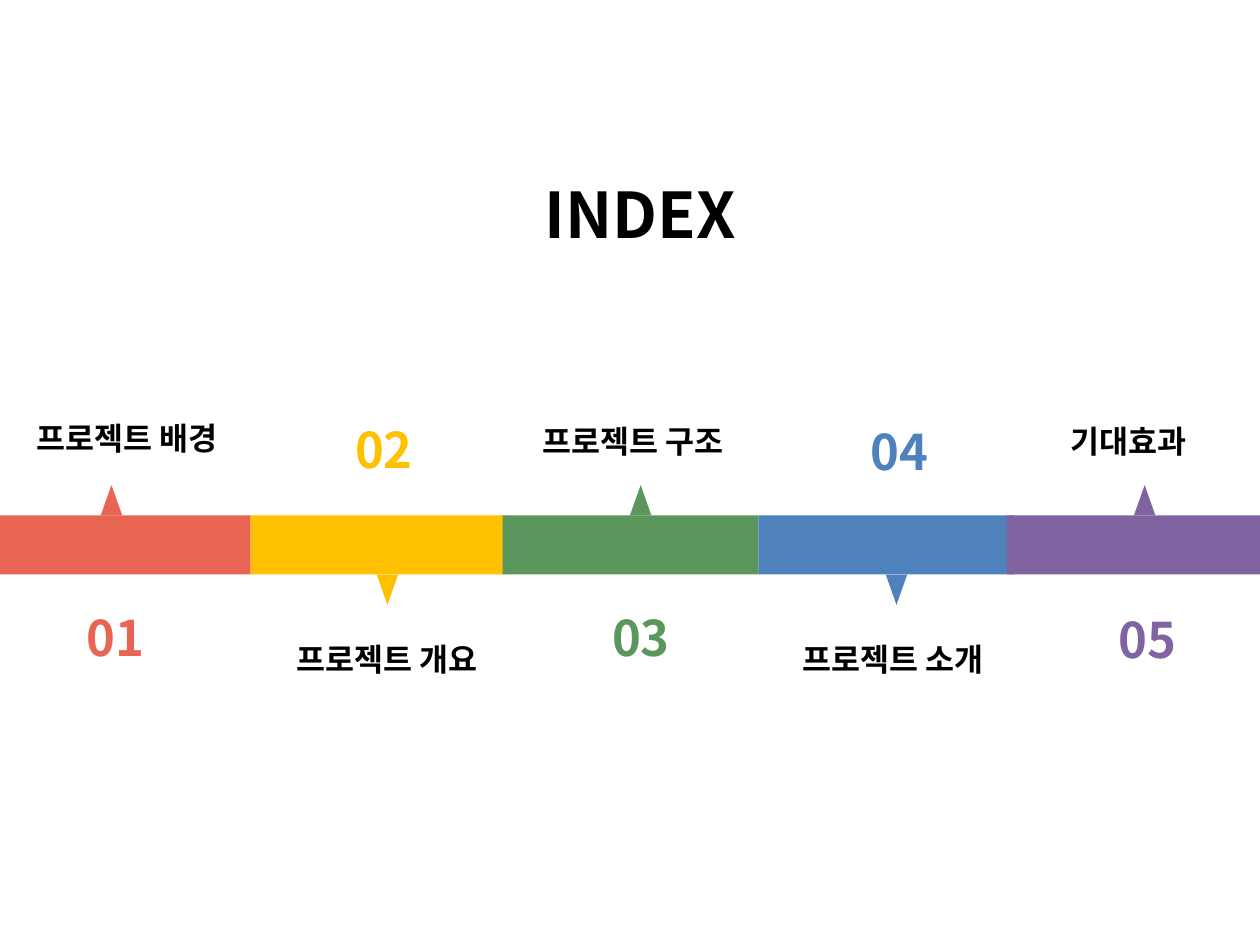
from pptx import Presentation, util as u
from pptx.dml.color import RGBColor
from pptx.enum import shapes, text

COLORS = {"ink": "000000", "red": "E86554", "yellow": "FFC000",
          "green": "5B965D", "blue": "4F81BD", "purple": "8064A2"}
FONT = "Noto Sans CJK KR"

presentation = Presentation()
presentation.slide_width, presentation.slide_height = u.Inches(10), u.Inches(7.5)
slide = presentation.slides.add_slide(presentation.slide_layouts[5])

# Grid of 100 columns by 75 rows
COLUMN = presentation.slide_width / 100
ROW = presentation.slide_height / 75


def write(shape, box, words, size, color, align):
    left, top, width, height = box
    frame = shape.text_frame
    frame.text = words
    frame_format = {"word_wrap": True, "vertical_anchor": text.MSO_ANCHOR.TOP,
                    "auto_size": text.MSO_AUTO_SIZE.SHAPE_TO_FIT_TEXT}
    place = {"left": int(left * COLUMN), "top": int(top * ROW),
             "width": int(width * COLUMN), "height": int(height * ROW)}
    paragraph = frame.paragraphs[0]
    paragraph.alignment = align
    font_format = {"name": FONT, "size": u.Pt(size), "bold": True}
    for target, values in ((shape, place), (frame, frame_format),
                           (paragraph.runs[0].font, font_format)):
        for name, value in values.items():
            setattr(target, name, value)
    paragraph.runs[0].font.color.rgb = RGBColor.from_string(COLORS[color])


def draw(kind, box, color):
    left, top, width, height = box
    shape = slide.shapes.add_shape(kind, int(left * COLUMN), int(top * ROW),
                                   int(width * COLUMN), int(height * ROW))
    shape.shadow.inherit = False
    shape.fill.solid()
    shape.fill.fore_color.rgb = RGBColor.from_string(COLORS[color])
    shape.line.fill.background()
    return shape


# Title
CENTER, LEFT = text.PP_ALIGN.CENTER, text.PP_ALIGN.LEFT
write(slide.shapes.title, (42, 13.4, 17.6, 7.1), "INDEX", 36, "ink", CENTER)

# Sections: color, band left, pointer left,
# label with its left, top and width, number left and top
sections = [
    ("red", -0.4, 8, "프로젝트 배경", 0.4, 32.8, 19.3, 5.9, 47.7),
    ("yellow", 19.9, 29.9, "프로젝트 개요", 20.1, 50.3, 21.3, 27.2, 32.8),
    ("green", 39.9, 50, "프로젝트 구조", 40.6, 33, 19.3, 47.6, 47.7),
    ("blue", 60.2, 70.3, "프로젝트 소개", 60.2, 50.3, 21.3, 68.1, 33),
    ("purple", 79.9, 90, "기대효과", 79.9, 33, 19.3, 87.8, 47.9),
]
BAND_TOP, BAND_WIDTH, BAND_HEIGHT = 40.9, 20.3, 4.7
POINTER_WIDTH, POINTER_HEIGHT = 1.7, 2.4

for index, (color, band_left, pointer_left, label, label_left, label_top,
            label_width, number_left, number_top) in enumerate(sections):
    # Color band
    draw(shapes.MSO_SHAPE.RECTANGLE,
         (band_left, BAND_TOP, BAND_WIDTH, BAND_HEIGHT), color)

    # Pointer towards the label: up and down in turn
    points_down = index % 2 == 1
    pointer_top = BAND_TOP + BAND_HEIGHT if points_down else BAND_TOP - POINTER_HEIGHT
    pointer = draw(shapes.MSO_SHAPE.ISOSCELES_TRIANGLE,
                   (pointer_left, pointer_top, POINTER_WIDTH, POINTER_HEIGHT), color)
    pointer.rotation = 180 if points_down else 0

    # Label and number
    write(slide.shapes.add_textbox(0, 0, 0, 0),
          (label_left, label_top, label_width, 6.4), label, 18, "ink", CENTER)
    write(slide.shapes.add_textbox(0, 0, 0, 0),
          (number_left, number_top, 7.1, 5.7), f"{index + 1:02}", 28, color, LEFT)

presentation.save("out.pptx")
